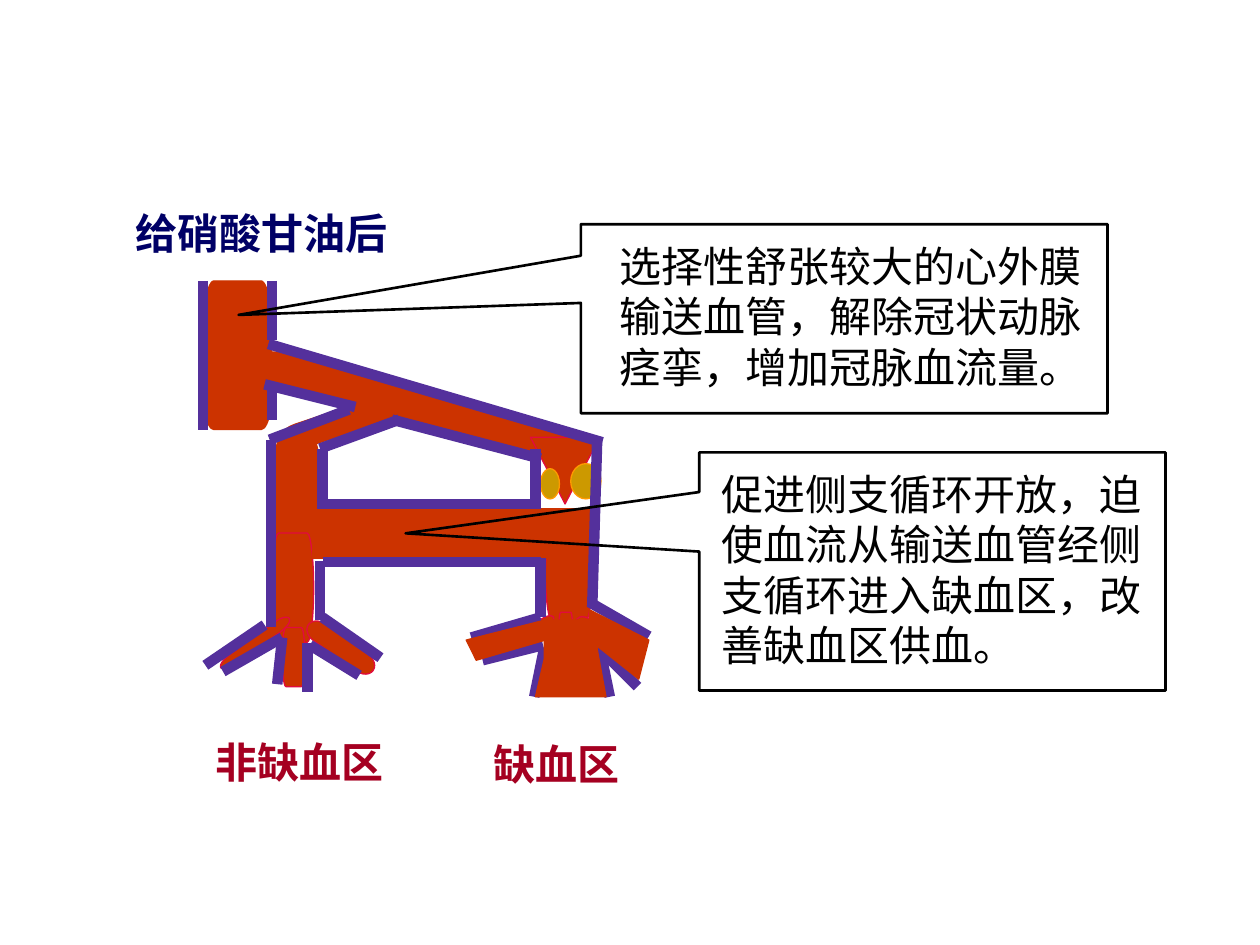
from pptx import Presentation
from pptx import util as u
from pptx.dml.color import RGBColor
from pptx.enum import shapes, text
from pptx.oxml.ns import qn
from lxml import etree

BLOOD = RGBColor(0xCC, 0x33, 0x00)
EDGE = RGBColor(0xE1, 0x0B, 0x3E)
WALL = RGBColor(0x54, 0x30, 0x9C)
PLAQUE = RGBColor(0xCC, 0x99, 0x00)
PLAQUE_EDGE = RGBColor(0xFF, 0x99, 0x00)
NAVY = RGBColor(0x00, 0x00, 0x66)
CRIMSON = RGBColor(0xA5, 0x00, 0x21)
BLACK = RGBColor(0x00, 0x00, 0x00)
COLUMNS = 100
FONT = "Arial"

MSO = shapes.MSO_SHAPE
PILL = MSO.FLOWCHART_TERMINATOR


def write(tf, content, size=24, color=BLACK, bold=False, indent=0):
    tf.word_wrap = True
    tf.auto_size = text.MSO_AUTO_SIZE.SHAPE_TO_FIT_TEXT
    tf.margin_left = u.Inches(0.1 + indent)
    p = tf.paragraphs[0]
    r = p.add_run()
    r.text = content
    r.font.name = FONT
    r.font.size = u.Pt(size)
    r.font.bold = bold
    r.font.color.rgb = color


class Diagram:
    def __init__(self, prs):
        self.s = prs.slides.add_slide(prs.slide_layouts[6])
        self.cell = prs.slide_width / COLUMNS

    def grid(self, *values):
        return [u.Emu(round(v * self.cell)) for v in values]

    def paint(self, sp, fill, line, width=0.75):
        sp.shadow.inherit = False
        if fill is None:
            sp.fill.background()
        else:
            sp.fill.solid()
            sp.fill.fore_color.rgb = fill
        sp.line.color.rgb = line
        sp.line.width = u.Pt(width)

    def shape(self, kind, box, fill=BLOOD, line=BLOOD, turn=0):
        sp = self.s.shapes.add_shape(kind, *self.grid(*box))
        sp.rotation = turn
        self.paint(sp, fill, line)

    def wall(self, *ends):
        c = self.s.shapes.add_connector(shapes.MSO_CONNECTOR.STRAIGHT, *self.grid(*ends))
        c.line.color.rgb = WALL
        c.line.width = u.Pt(6)
        etree.SubElement(c._element.spPr, qn("a:effectLst"))

    def outline(self, *points):
        start, *rest = [self.grid(*pt) for pt in points]
        fb = self.s.shapes.build_freeform(*start)
        fb.add_line_segments(rest, close=True)
        self.paint(fb.convert_to_shape(), BLOOD, BLOOD)

    def label(self, box, content, **style):
        write(self.s.shapes.add_textbox(*self.grid(*box)).text_frame, content, **style)

    def callout(self, box, tip):
        sp = self.s.shapes.add_shape(MSO.RECTANGULAR_CALLOUT, *self.grid(*box))
        sp.adjustments[0], sp.adjustments[1] = tip
        self.paint(sp, None, BLACK, 1.5)


ARTERIES = [
    ((16.1, 22.3, 5.5, 8.7), 0), ((16.1, 27.8, 5.5, 6.3), 0),
    ((20.1, 29.2, 13.2, 2.4), 15.2), ((29.5, 32.3, 17.4, 2.5), 13.5),
    ((21.9, 32.5, 10.4, 2), 341.7), ((21.6, 34.9, 3.9, 9.4), 0),
]
HEALTHY_BRANCHES = [
    ((21.6, 42.3, 3.3, 8.7), 0), ((16.9, 50.6, 6.7, 0.9), 324),
    ((22.4, 49.8, 1.8, 4.7), 0), ((23.9, 50.6, 6.3, 1.6), 35.3),
]
ISCHEMIC_BRANCHES = [
    ((43.3, 41.9, 3.7, 7.5), 0), ((38.9, 50.1, 5.5, 0.8), 326.1),
    ((44.3, 48.6, 1.2, 5.5), 0), ((45.4, 50, 5.7, 1.1), 29.2),
]
WALLS = [
    (16.1, 22.3, 16.1, 34.1), (21.6, 22.3, 21.6, 27), (21.3, 27.3, 47.8, 35.1),
    (21.6, 30.9, 21.6, 33.3), (21, 30.5, 28.2, 32.3), (27.7, 32.5, 21.4, 34.9),
    (21.5, 34.9, 21.5, 49.8), (21, 49.6, 16.3, 52.8), (22.4, 50.6, 17.7, 53.3),
    (22.4, 50.6, 22, 54.3), (24.4, 51, 24.4, 54.9), (24.6, 51.2, 28.5, 53.6),
    (25.4, 44.5, 25.4, 49.2), (25.6, 49, 30.2, 52.2), (31.7, 33.3, 25.4, 35.6),
    (25.6, 35.6, 25.6, 40.4), (31.1, 33.3, 42.9, 36.4), (42.5, 35.6, 42.5, 39.6),
    (25.6, 40, 42.9, 40), (25.6, 44.6, 42.9, 44.6), (42.9, 44.3, 42.9, 49),
    (47.4, 34.8, 47, 48.2), (42.9, 49, 37.4, 50.6), (43.2, 51.4, 42.4, 55.3),
    (47.5, 51.4, 50.6, 54.5), (46.8, 47.8, 51.5, 50.5), (47.6, 51.4, 48.4, 55.3),
    (43.1, 51.2, 38.3, 52.4),
]


def main():
    prs = Presentation()
    prs.slide_width, prs.slide_height = u.Inches(10), u.Inches(7.5)
    d = Diagram(prs)

    for box, turn in ARTERIES:
        d.shape(PILL, box, turn=turn)
    for box, turn in HEALTHY_BRANCHES:
        d.shape(PILL, box, line=EDGE, turn=turn)
    d.shape(MSO.FLOWCHART_MERGE, (42.1, 34.7, 5.5, 5.3), line=EDGE)
    for box, turn in ISCHEMIC_BRANCHES:
        d.shape(PILL, box, line=EDGE, turn=turn)

    d.label((9.8, 16, 25.2, 5), "给硝酸甘油后", color=NAVY, bold=True)
    d.label((16.1, 58, 18.1, 5), "非缺血区", color=CRIMSON, bold=True)
    d.label((38.2, 58.1, 17.3, 5), "缺血区", color=CRIMSON, bold=True)

    d.shape(MSO.RECTANGLE, (24.8, 40.4, 22.5, 3.9))
    for box in ((42.9, 37.2, 1.5, 2.4), (45.3, 36.8, 2.4, 2.8)):
        d.shape(MSO.OVAL, box, PLAQUE, PLAQUE_EDGE)
    for ends in WALLS:
        d.wall(*ends)

    d.outline((43.2, 49.2), (43.2, 52.3), (42.5, 55.3), (48.1, 55.3), (47.4, 51.5), (47.4, 49.2))
    d.outline((43.3, 49.2), (37, 50.8), (37.8, 52.4), (43.3, 50.8))
    d.outline((46.8, 48.4), (46.8, 50.8), (50.7, 53.9), (51.5, 50.8))

    d.label((51.3, 36.7, 41.7, 17),
            "促进侧支循环开放，迫使血流从输送血管经侧支循环进入缺血区，改善缺血区供血。", indent=0.5)
    d.label((43.2, 18.6, 46.5, 13),
            "选择性舒张较大的心外膜输送血管，解除冠状动脉痉挛，增加冠脉血流量。", indent=0.5)
    d.callout((46.1, 17.8, 41.8, 15), (-1.15, -0.02))
    d.callout((55.5, 35.9, 37, 18.9), (-1.13, -0.16))

    prs.save("out.pptx")


if __name__ == "__main__":
    main()
